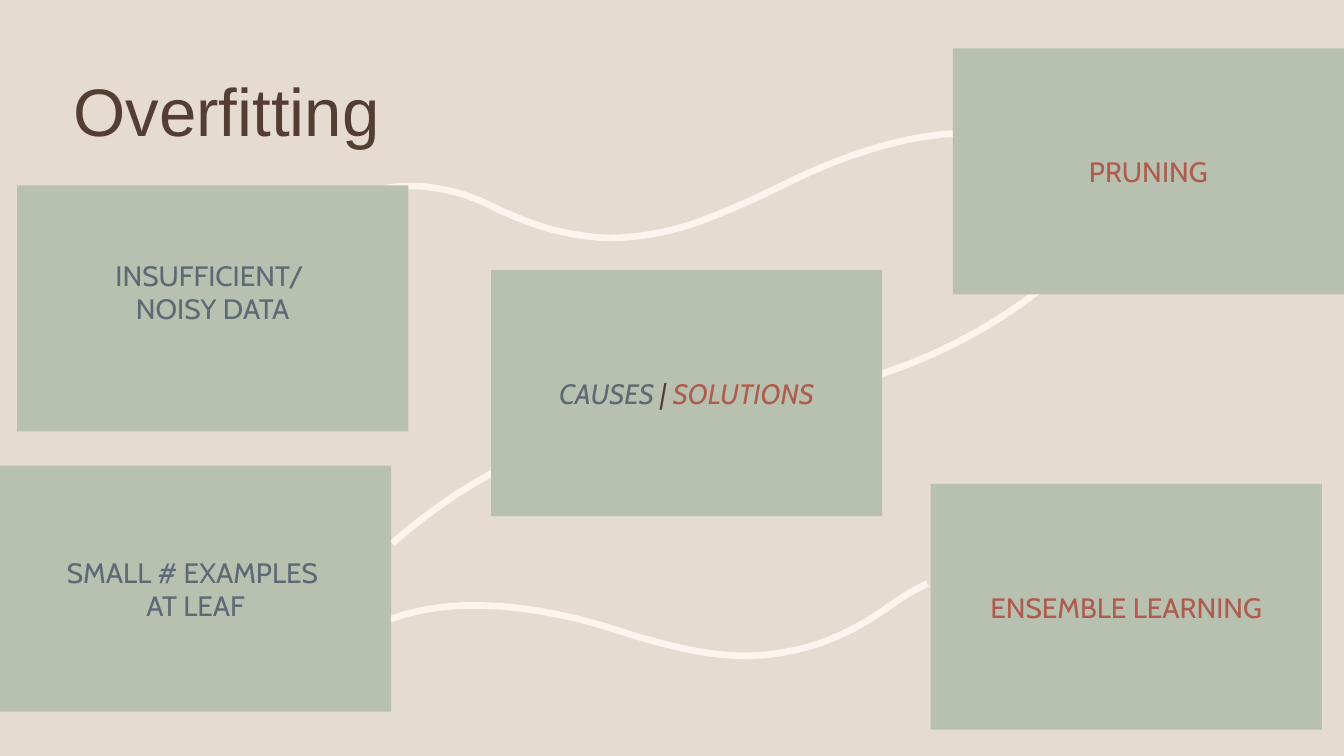
from dataclasses import dataclass

from pptx import Presentation
from pptx import util as u
from pptx.dml.color import RGBColor
from pptx.enum import shapes, text


@dataclass(frozen=True)
class Theme:
    back: str = "E6DBD0"
    card: str = "B8C0B0"
    wave: str = "FEF3ED"
    dark: str = "543E34"
    cause: str = "5D6A76"
    cure: str = "AD5C4D"
    head: str = "Arial"
    body: str = "Cabin"
    big: int = 48
    small: int = 20
    line: float = 4.75


T = Theme()
CARD = (3.88, 2.44)
STEPS = 16

WAVES = [
    [(8.33, 3.83), (9.13, 3.63), (9.85, 3.27), (10.47, 2.75)],
    [(5.84, 4.28), (5.09, 4.52), (4.45, 4.9), (3.89, 5.39)],
    [(3.07, 2.23), (3.5, 1.87), (3.98, 1.77), (4.49, 1.9),
     (4.66, 1.94), (4.81, 2.01), (4.97, 2.09),
     (5.3, 2.24), (5.65, 2.35), (6.04, 2.36),
     (6.37, 2.36), (6.7, 2.29), (7.01, 2.17),
     (7.37, 2.03), (7.57, 1.93), (7.78, 1.83),
     (8.01, 1.71), (9.4, 1.03), (10.27, 1.46)],
    [(9.2, 5.79), (9.04, 5.86), (8.91, 5.95), (8.77, 6.05),
     (8.48, 6.25), (8.15, 6.41), (7.78, 6.47),
     (7.46, 6.53), (7.14, 6.51), (6.81, 6.44),
     (6.45, 6.36), (6.24, 6.29), (6.02, 6.22),
     (5.78, 6.15), (4.34, 5.7), (3.47, 6.36)],
]

CARDS = [
    ((0.17, 1.84), [[("INSUFFICIENT/ ", T.cause)], [("NOISY DATA", T.cause)]], 0.33),
    ((9.45, 0.48), [[("PRUNING", T.cure)]], 0),
    ((4.87, 2.68), [[("CAUSES", T.cause), (" | ", T.dark), ("SOLUTIONS", T.cure)]], 0),
    ((0, 4.62), [[("SMALL # EXAMPLES ", T.cause)], [("AT LEAF", T.cause)]], 0),
    ((9.23, 4.8), [[("ENSEMBLE LEARNING", T.cure)]], 0),
]


def style(item, **form):
    for key, value in form.items():
        setattr(item, key, value)


def write(para, words, color, **form):
    run = para.add_run()
    run.text = words
    style(run.font, **form)
    run.font.color.rgb = RGBColor.from_string(color)


def bend(a, b, c, d):
    for step in range(1, STEPS + 1):
        t = step / STEPS
        s = 1 - t
        yield tuple(
            u.Inches(s**3 * p + 3 * s * s * t * q + 3 * s * t * t * r + t**3 * e)
            for p, q, r, e in zip(a, b, c, d)
        )


def add_wave(slide, knots):
    left, top = knots[0]
    pen = slide.shapes.build_freeform(u.Inches(left), u.Inches(top))
    for i in range(0, len(knots) - 1, 3):
        pen.add_line_segments(bend(*knots[i:i + 4]), close=False)
    wave = pen.convert_to_shape()
    wave.shadow.inherit = False
    wave.fill.background()
    wave.line.color.rgb = RGBColor.from_string(T.wave)
    wave.line.width = u.Pt(T.line)


def add_title(slide, box, words):
    frame = slide.shapes.add_textbox(*map(u.Inches, box)).text_frame
    style(frame, word_wrap=True, vertical_anchor=text.MSO_ANCHOR.MIDDLE)
    para = frame.paragraphs[0]
    para.line_spacing = 0.9
    write(para, words, T.dark, name=T.head, size=u.Pt(T.big))


def add_card(slide, box, lines, lift, slant):
    card = slide.shapes.add_shape(shapes.MSO_SHAPE.RECTANGLE, *map(u.Inches, box))
    card.shadow.inherit = False
    card.fill.solid()
    card.fill.fore_color.rgb = RGBColor.from_string(T.card)
    card.line.fill.background()
    frame = card.text_frame
    style(frame, word_wrap=True, vertical_anchor=text.MSO_ANCHOR.MIDDLE,
          margin_bottom=u.Inches(0.05 + lift))
    for i, runs in enumerate(lines):
        para = frame.add_paragraph() if i else frame.paragraphs[0]
        para.alignment = text.PP_ALIGN.CENTER
        for words, color in runs:
            write(para, words, color, name=T.body, size=u.Pt(T.small), italic=slant)


def main():
    deck = Presentation()
    style(deck, slide_width=u.Inches(13.33), slide_height=u.Inches(7.5))
    slide = deck.slides.add_slide(deck.slide_layouts[6])
    fill = slide.background.fill
    fill.solid()
    fill.fore_color.rgb = RGBColor.from_string(T.back)
    for knots in WAVES:
        add_wave(slide, knots)
    add_title(slide, (0.63, 0.77, 10, 0.74), "Overfitting")
    for spot, lines, lift in CARDS:
        add_card(slide, spot + CARD, lines, lift, len(lines[0]) > 1)
    deck.save("out.pptx")


if __name__ == "__main__":
    main()
